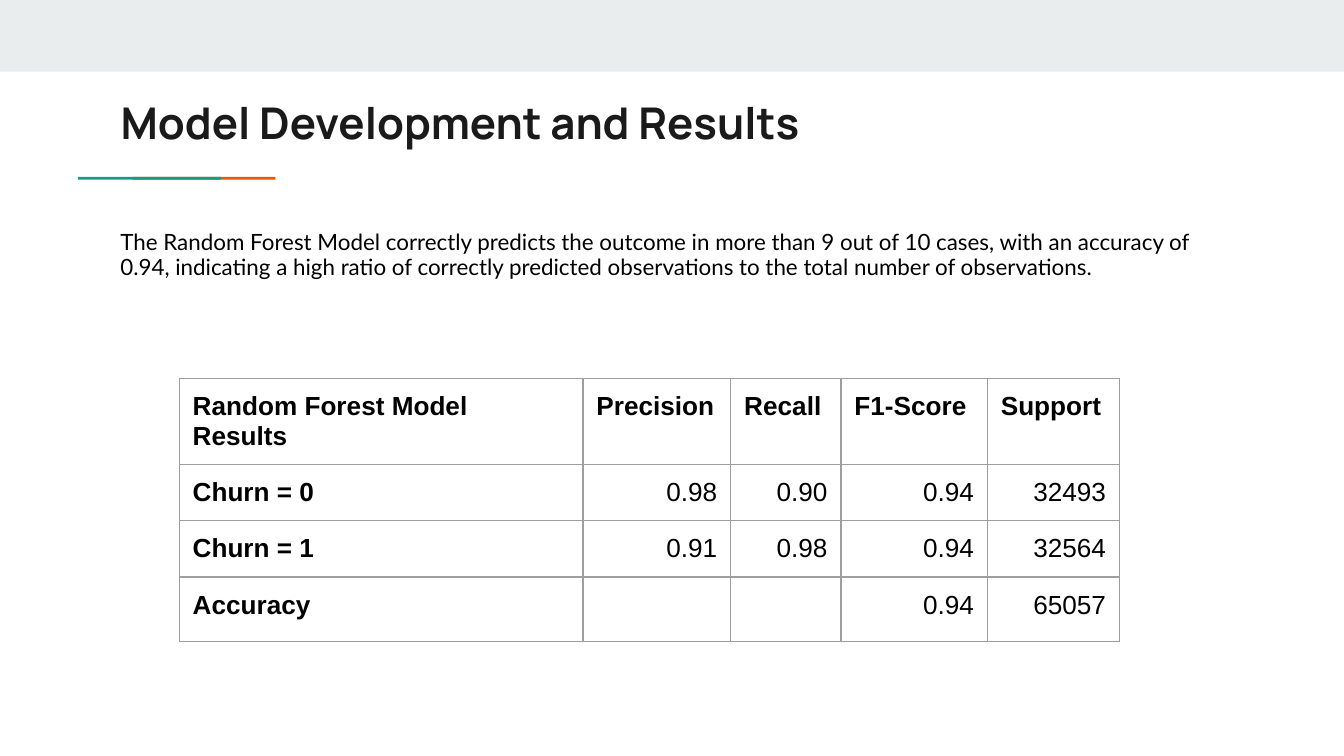
from pptx import Presentation
from pptx.dml.color import RGBColor as Rgb
from pptx.enum import shapes, text
from pptx.oxml import parse_xml
from pptx.oxml.ns import nsdecls
from pptx.util import Pt

HUES = {"band": "E9EDEE", "teal": "1A9988", "rust": "EB5600",
        "title": "1A1A1A", "ink": "000000", "grid": "9E9E9E"}

deck = Presentation()
deck.slide_width, deck.slide_height = Pt(720), Pt(405)
slide = deck.slides.add_slide(deck.slide_layouts[5])


def style(para, name, size, hue, bold=False):
    font = para.font
    font.name, font.size, font.bold = name, Pt(size), bold
    font.color.rgb = Rgb.from_string(HUES[hue])


# Top band and two-tone rule under the title, teal lapping over rust
bars = [("band", 0, 0, 720, 38.4),
        ("rust", 71, 94.8, 76.5, 1.5),
        ("teal", 41.8, 94.8, 76.5, 1.5)]
for hue, *place in bars:
    bar = slide.shapes.add_shape(shapes.MSO_SHAPE.RECTANGLE, *map(Pt, place))
    bar.shadow.inherit = False
    bar.fill.solid()
    bar.fill.fore_color.rgb = Rgb.from_string(HUES[hue])
    bar.line.fill.background()

# Title and body text share the left edge and insets
title = slide.shapes.title
title.left, title.top, title.width, title.height = map(Pt, (57.4, 44, 605.6, 42.4))
title.text_frame.text = "Model Development and Results"
body = slide.shapes.add_textbox(Pt(57.4), Pt(116), Pt(605.6), Pt(267))
body.text_frame.text = (
    "The Random Forest Model correctly predicts the outcome in more than 9 out of 10 "
    "cases, with an accuracy of 0.94, indicating a high ratio of correctly predicted "
    "observations to the total number of observations.")
for box in (title, body):
    frame = box.text_frame
    frame.word_wrap = True
    frame.auto_size = text.MSO_AUTO_SIZE.NONE
    frame.vertical_anchor = text.MSO_ANCHOR.TOP
    frame.margin_left = frame.margin_right = Pt(7.2)
    frame.margin_top = frame.margin_bottom = Pt(7.2)
    frame.paragraphs[0].alignment = text.PP_ALIGN.LEFT
style(title.text_frame.paragraphs[0], "Manrope", 23.4, "title", True)
para = body.text_frame.paragraphs[0]
para.line_spacing = 0.95
para.space_after = Pt(5)
style(para, "Lato", 12, "ink")

# Results table
rows = [["Random Forest Model Results", "Precision", "Recall", "F1-Score", "Support"],
        ["Churn = 0", "0.98", "0.90", "0.94", "32493"],
        ["Churn = 1", "0.91", "0.98", "0.94", "32564"],
        ["Accuracy", "", "", "0.94", "65057"]]
wide = [216.3, 79.2, 59, 78.5, 70.8]
tall = [46, 30, 30, 34.6]
grid = slide.shapes.add_table(len(rows), len(wide), Pt(96), Pt(202.8),
                              Pt(sum(wide)), Pt(sum(tall))).table
grid.first_row = grid.horz_banding = False
for col, size in zip(grid.columns, wide):
    col.width = Pt(size)
for row, size in zip(grid.rows, tall):
    row.height = Pt(size)

for r, row in enumerate(rows):
    for c, word in enumerate(row):
        cell = grid.cell(r, c)
        cell.text = word
        cell.margin_left = cell.margin_right = Pt(7.2)
        cell.margin_top = cell.margin_bottom = Pt(7.2)
        head = r == 0 or c == 0
        para = cell.text_frame.paragraphs[0]
        para.alignment = text.PP_ALIGN.LEFT if head else text.PP_ALIGN.RIGHT
        style(para, "Arial", 14, "ink", head)
        # Borders come before the fill in the cell properties
        props = cell._tc.get_or_add_tcPr()
        for side in ("lnL", "lnR", "lnT", "lnB"):
            props.append(parse_xml(
                f'<a:{side} {nsdecls("a")} w="{Pt(0.75)}"><a:solidFill>'
                f'<a:srgbClr val="{HUES["grid"]}"/></a:solidFill></a:{side}>'))
        cell.fill.background()

deck.save("out.pptx")
